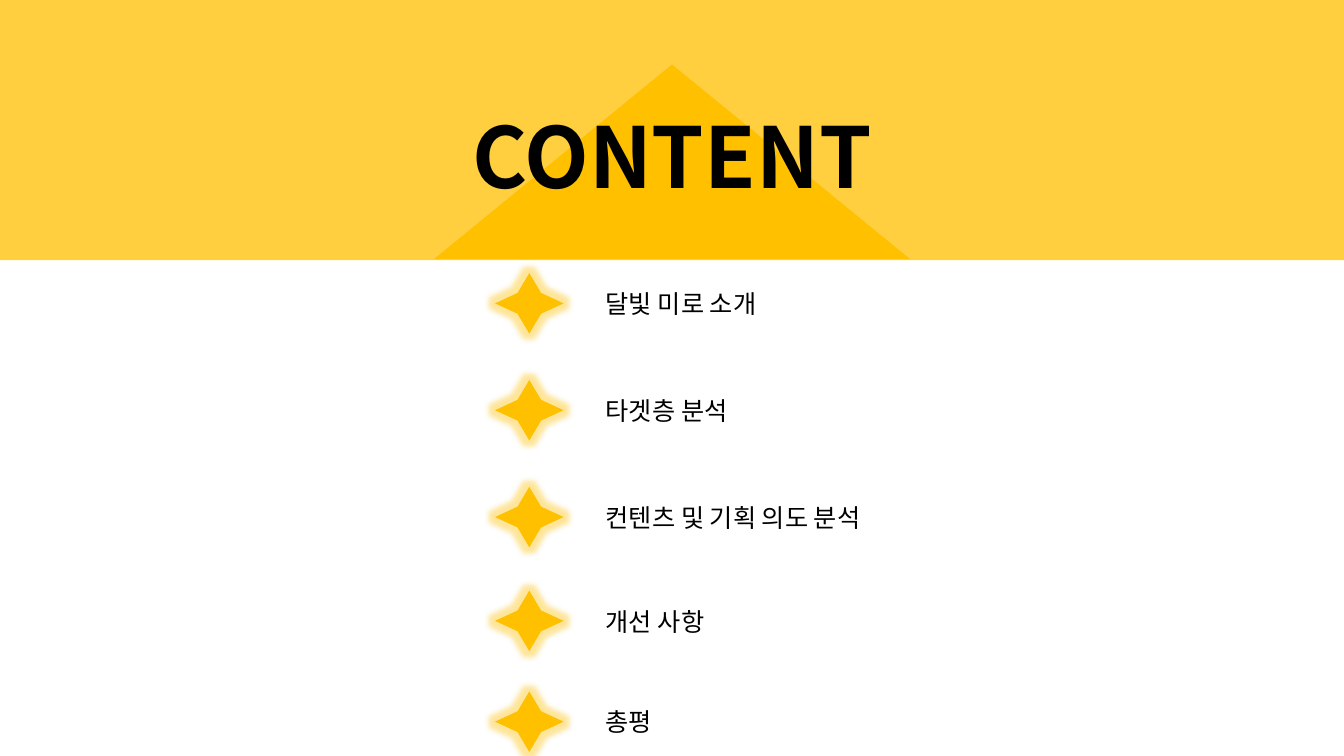
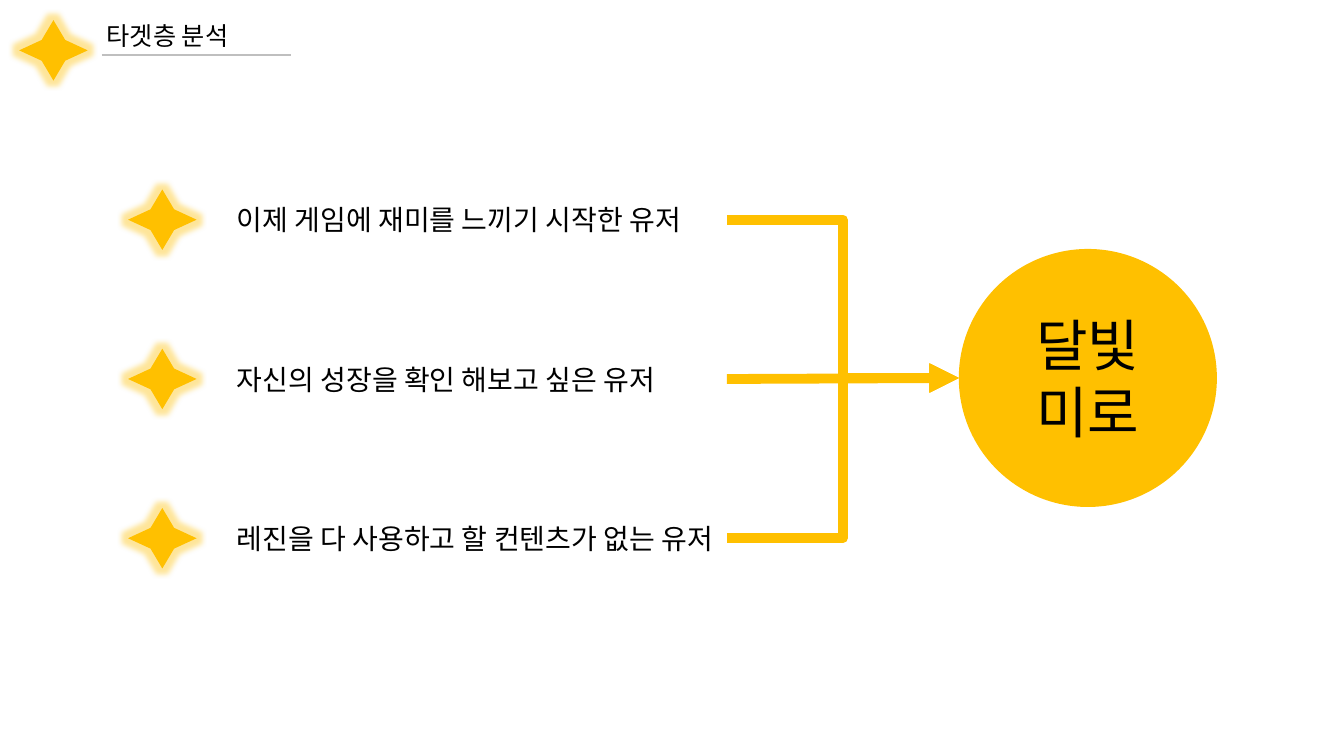
from lxml import etree
from pptx import Presentation
from pptx.dml.color import RGBColor
from pptx.enum import shapes, text
from pptx.oxml import ns
from pptx.util import Inches, Pt

COLORS = {"gold": "FFC000", "black": "000000", "rule": "BFBFBF"}
FONT = "Noto Sans CJK KR"
STAR_W, STAR_H = 0.68, 0.6
ROW_H = 0.68


def rgb(name):
    return RGBColor.from_string(COLORS[name])


def write(sp, words, size=18, bold=False, align=text.PP_ALIGN.LEFT,
          anchor=text.MSO_ANCHOR.MIDDLE, spacing=None, grow=False):
    tf = sp.text_frame
    tf.word_wrap = True
    tf.vertical_anchor = anchor
    if grow:
        tf.auto_size = text.MSO_AUTO_SIZE.SHAPE_TO_FIT_TEXT
    p = tf.paragraphs[0]
    p.alignment = align
    p.line_spacing = spacing
    r = p.add_run()
    r.text = words
    r.font.size = Pt(size)
    r.font.bold = bold
    r.font.name = FONT
    r.font.color.rgb = rgb("black")
    ea = etree.SubElement(r.font._element, ns.qn("a:ea"))
    ea.set("typeface", FONT)


def add_label(slide, box, words, **fmt):
    write(slide.shapes.add_textbox(*map(Inches, box)), words, **fmt)


def add_block(slide, kind, box, alpha=None):
    sp = slide.shapes.add_shape(kind, *map(Inches, box))
    sp.shadow.inherit = False
    sp.fill.solid()
    sp.fill.fore_color.rgb = rgb("gold")
    sp.line.fill.background()
    if alpha:
        clr = sp._element.spPr.find(".//" + ns.qn("a:srgbClr"))
        etree.SubElement(clr, ns.qn("a:alpha")).set("val", str(alpha * 1000))
    return sp


def add_star(slide, left, top):
    sp = add_block(slide, shapes.MSO_SHAPE.STAR_4_POINT, (left, top, STAR_W, STAR_H))
    sp.adjustments[0] = 0.243
    effects = sp._element.spPr.find(ns.qn("a:effectLst"))
    glow = etree.SubElement(effects, ns.qn("a:glow"), rad=str(Pt(8)))
    clr = etree.SubElement(glow, ns.qn("a:srgbClr"), val=COLORS["gold"])
    etree.SubElement(clr, ns.qn("a:alpha"), val="40000")


def add_line(slide, kind, start, end, color, width, arrow=False):
    sp = slide.shapes.add_connector(kind, *map(Inches, start + end))
    sp.line.color.rgb = rgb(color)
    sp.line.width = Pt(width)
    if arrow:
        ln = sp.line._get_or_add_ln()
        etree.SubElement(ln, ns.qn("a:tailEnd"), type="triangle")
    etree.SubElement(sp._element.spPr, ns.qn("a:effectLst"))


def add_star_row(slide, left, top, width, words, gap, **fmt):
    add_star(slide, left, top + (ROW_H - STAR_H) / 2)
    add_label(slide, (left + STAR_W + gap, top, width, ROW_H), words, **fmt)


def add_banner(slide, width, height, title):
    add_block(slide, shapes.MSO_SHAPE.RECTANGLE, (0, 0, width, height), alpha=75)
    peak_w, peak_h = 4.72, 1.93
    left = (width - peak_w) / 2
    add_block(slide, shapes.MSO_SHAPE.ISOSCELES_TRIANGLE,
              (left, height - peak_h - 0.01, peak_w, peak_h))
    add_label(slide, (left, 1.1, peak_w, 1.11), title, size=60, bold=True,
              align=text.PP_ALIGN.CENTER, anchor=text.MSO_ANCHOR.TOP,
              spacing=0.9, grow=True)


def add_header(slide, left, top, title):
    add_star(slide, left, top + 0.19)
    add_label(slide, (left + 0.77, top, 2.33, ROW_H), title)
    add_line(slide, shapes.MSO_CONNECTOR.STRAIGHT, (left + 0.82, top + 0.54),
             (left + 2.7, top + 0.54), "rule", 1.5)


def build_contents(slide):
    rows = [(2.67, "달빛 미로 소개"), (3.73, "타겟층 분석"),
            (4.79, "컨텐츠 및 기획 의도 분석"), (5.82, "개선 사항"), (6.82, "총평")]
    for top, words in rows:
        add_star_row(slide, 4.91, top, 2.88, words, gap=0.32)
    add_banner(slide, 13.33, 2.58, "CONTENT")


def build_targets(slide):
    add_header(slide, 0.19, 0.01, "타겟층 분석")
    left, top, step, gap, width = 1.27, 1.84, 1.58, 0.3, 4.96
    users = ["이제 게임에 재미를 느끼기 시작한 유저",
             "자신의 성장을 확인 해보고 싶은 유저",
             "레진을 다 사용하고 할 컨텐츠가 없는 유저"]
    size = 2.56
    hub = (9.51, 3.75)
    sp = add_block(slide, shapes.MSO_SHAPE.OVAL,
                   (hub[0], hub[1] - size / 2, size, size))
    write(sp, "달빛 미로", size=40, align=text.PP_ALIGN.CENTER)
    kinds = shapes.MSO_CONNECTOR
    for i, words in enumerate(users):
        y = top + i * step
        add_star_row(slide, left, y, width, words, gap, size=20)
        kind = kinds.STRAIGHT if i == 1 else kinds.ELBOW
        start = (left + STAR_W + gap + width, y + ROW_H / 2)
        add_line(slide, kind, start, hub, "gold", 7, arrow=True)


def main():
    prs = Presentation()
    prs.slide_width, prs.slide_height = Inches(13.33), Inches(7.5)
    for build in (build_contents, build_targets):
        build(prs.slides.add_slide(prs.slide_layouts[6]))
    prs.save("out.pptx")


if __name__ == "__main__":
    main()
